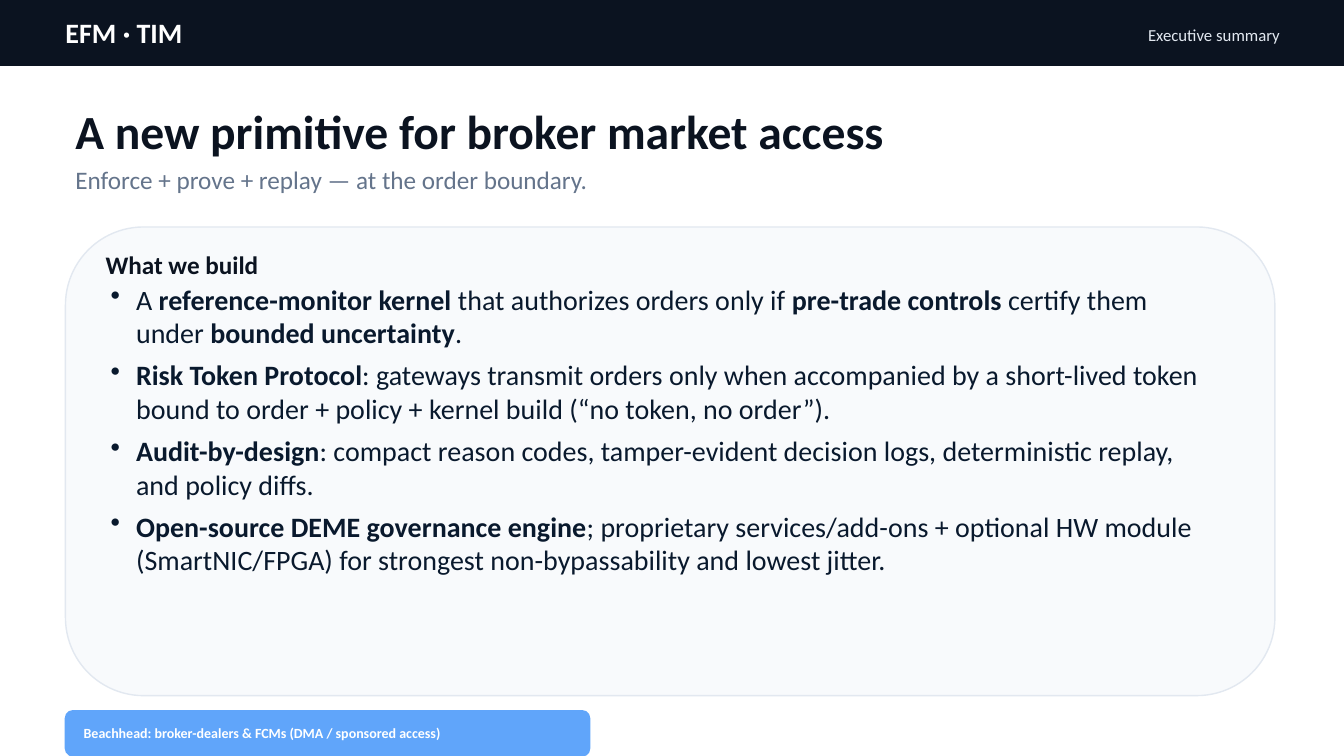
from lxml import etree
from pptx import Presentation
from pptx.dml.color import RGBColor
from pptx.enum.shapes import MSO_SHAPE as Preset
from pptx.enum.text import MSO_ANCHOR as Anchor, PP_ALIGN as Align
from pptx.oxml.ns import qn
from pptx.util import Cm, Pt

COLORS = {
    "navy": "0B1320",
    "body": "09192D",
    "slate": "64748B",
    "mist": "E2E8F0",
    "card": "F8FAFC",
    "blue": "60A5FA",
    "white": "FFFFFF",
}


def add_panel(page, preset, place, fill, line):
    panel = page.shapes.add_shape(preset, *map(Cm, place))
    panel.shadow.inherit = False
    panel.fill.solid()
    panel.fill.fore_color.rgb = RGBColor.from_string(COLORS[fill])
    panel.line.color.rgb = RGBColor.from_string(COLORS[line])
    panel.line.width = Pt(1)


def add_label(page, place, text, size, color, bold=False, align=Align.LEFT):
    box = page.shapes.add_textbox(*map(Cm, place))
    frame = box.text_frame
    frame.word_wrap = True
    frame.vertical_anchor = Anchor.MIDDLE
    para = frame.paragraphs[0]
    para.text = text
    para.alignment = align
    para.font.name = "Calibri"
    para.font.size = Pt(size)
    para.font.bold = bold
    para.font.color.rgb = RGBColor.from_string(COLORS[color])
    return frame


deck = Presentation()
deck.slide_width, deck.slide_height = Cm(33.87), Cm(19.05)
page = deck.slides.add_slide(deck.slide_layouts[6])

# Header bar
add_panel(page, Preset.RECTANGLE, (0, 0, 33.87, 1.65), "navy", "navy")
add_label(page, (1.4, 0.38, 24.13, 0.89), "EFM · TIM", 20, "white", bold=True)
add_label(page, (25.65, 0.51, 6.86, 0.76), "Executive summary", 12, "mist", align=Align.RIGHT)

# Title and subtitle
add_label(page, (1.65, 2.41, 30.56, 1.78), "A new primitive for broker market access",
          34, "navy", bold=True)
add_label(page, (1.65, 3.94, 30.56, 1.14), "Enforce + prove + replay — at the order boundary.",
          18, "slate")

# Card with its heading
add_panel(page, Preset.ROUNDED_RECTANGLE, (1.65, 5.72, 30.48, 11.81), "card", "mist")
add_label(page, (2.41, 6.22, 28.96, 0.89), "What we build", 18, "navy", bold=True)

# Bullets: each is a list of (text, bold) spans
bullets = [
    [("A ", False), ("reference-monitor kernel ", True),
     ("that authorizes orders only if ", False), ("pre-trade controls ", True),
     ("certify them under ", False), ("bounded uncertainty", True), (".", False)],
    [("Risk Token Protocol", True),
     (": gateways transmit orders only when accompanied by a short-lived token "
      "bound to order + policy + kernel build (“no token, no order”).", False)],
    [("Audit-by-design", True),
     (": compact reason codes, tamper-evident decision logs, deterministic replay, "
      "and policy diffs.", False)],
    [("Open-source DEME governance engine", True),
     ("; proprietary services/add-ons + optional HW module (SmartNIC/FPGA) "
      "for strongest non-bypassability and lowest jitter.", False)],
]
frame = page.shapes.add_textbox(Cm(2.54), Cm(6.99), Cm(28.45), Cm(9.65)).text_frame
frame.word_wrap = True
for index, spans in enumerate(bullets):
    para = frame.add_paragraph() if index else frame.paragraphs[0]
    props = para._p.get_or_add_pPr()
    props.set("marL", str(Cm(0.64)))
    props.set("indent", str(-Cm(0.64)))
    etree.SubElement(props, qn("a:buChar")).set("char", "•")
    para.space_after = Pt(6)
    para.font.name = "Calibri"
    para.font.size = Pt(20)
    para.font.color.rgb = RGBColor.from_string(COLORS["body"])
    for text, bold in spans:
        span = para.add_run()
        span.text = text
        span.font.bold = bold

# Beachhead tag
add_panel(page, Preset.ROUNDED_RECTANGLE, (1.65, 17.91, 13.21, 1.14), "blue", "blue")
tag = add_label(page, (2.03, 17.91, 12.45, 1.14),
                "Beachhead: broker-dealers & FCMs (DMA / sponsored access)", 10, "white", bold=True)
tag.margin_left = tag.margin_right = Cm(0.08)
tag.margin_top = tag.margin_bottom = Cm(0)

deck.save("out.pptx")
